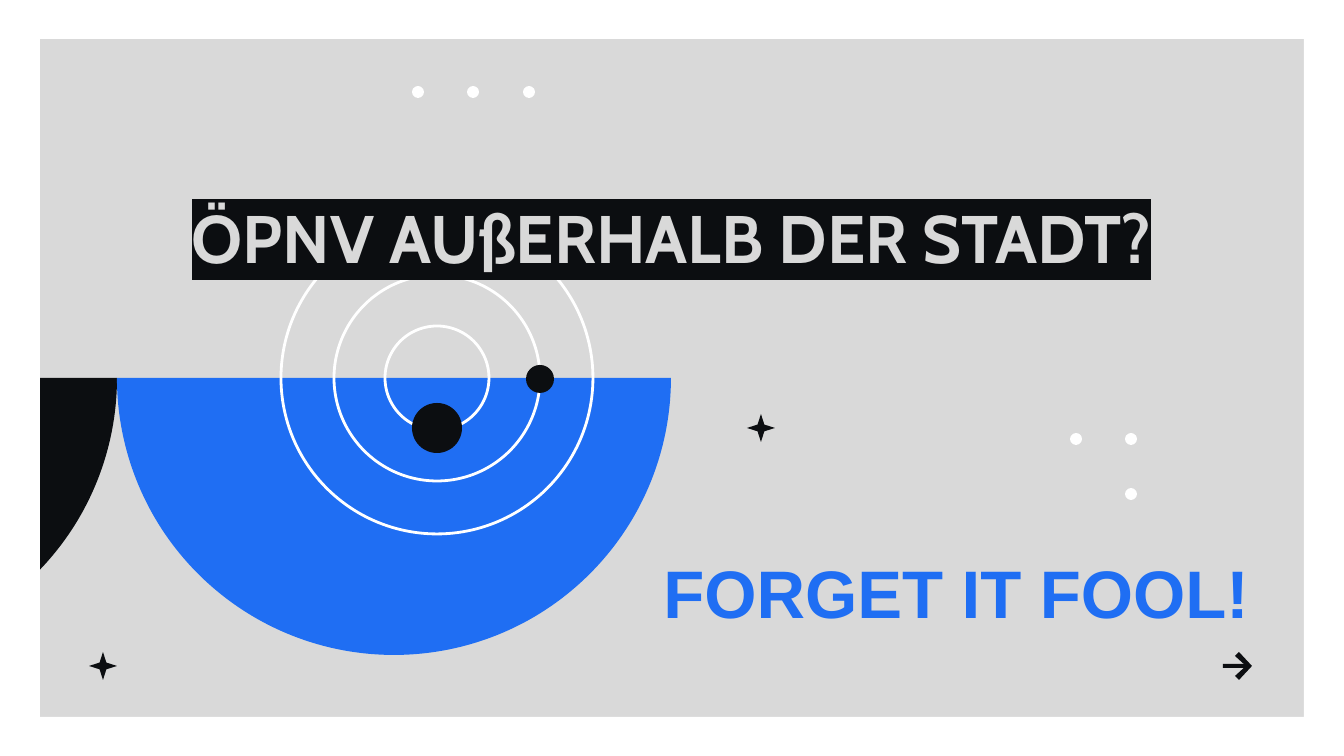
"""Build a title slide about public transport with geometric decoration."""
from dataclasses import dataclass

from lxml.etree import SubElement
from pptx import Presentation
from pptx.dml.color import RGBColor
from pptx.enum.shapes import MSO_SHAPE as Preset
from pptx.enum.text import MSO_ANCHOR as Anchor, MSO_AUTO_SIZE as AutoSize, PP_ALIGN as Align
from pptx.oxml.ns import qn
from pptx.util import Emu, Pt


@dataclass(frozen=True)
class Theme:
    grey: str = "D9D9D9"
    white: str = "FFFFFF"
    ink: str = "0C0E11"
    blue: str = "1F6EF3"
    text_size: int = 36
    ring_width: float = 1.5


THEME = Theme()
SCALE = 914400 / 134.4
WIDTH, HEIGHT = 1344, 756
MARGIN = 40

TITLE = ("ÖPNV AUßERHALB DER STADT?", (23, 183, 1297, 318), "Cabin", THEME.grey, Align.CENTER, Anchor.TOP)
SUBTITLE = ("FORGET IT FOOL!", (650, 478, 648, 167), "Arial", THEME.blue, Align.LEFT, Anchor.BOTTOM)

HALF_DISCS = [(-160, THEME.ink), (394, THEME.blue)]
HALF_DISC_CENTRE_Y, HALF_DISC_RADIUS = 378, 277
RING_CENTRE, RING_RADII = (437, 378), (156, 103, 52)
PLANETS = [((540, 379), 14), ((437, 428), 25)]
DOT_CENTRES = [(418, 92), (473, 92), (529, 92), (1076, 439), (1131, 439), (1131, 494)]
STAR_CENTRES = [(761, 428), (103, 666)]
DOT_RADIUS, STAR_RADIUS = 6, 14
ARROW_SHAFT = (1223, 664, 27, 4)
ARROW_TIP = [(1239, 652), (1235, 656), (1246, 666), (1235, 676), (1239, 680), (1252, 666)]
FRAME = [
    (0, 0, WIDTH, MARGIN - 1),
    (0, HEIGHT - MARGIN + 1, WIDTH, MARGIN - 1),
    (0, 0, MARGIN, HEIGHT),
    (WIDTH - MARGIN, 0, MARGIN, HEIGHT),
]


def px(value):
    return Emu(round(value * SCALE))


def rgb(colour):
    return RGBColor.from_string(colour)


def paint(shape, colour):
    shape.shadow.inherit = False
    shape.fill.solid()
    shape.fill.fore_color.rgb = rgb(colour)
    shape.line.fill.background()


def add_preset(slide, preset, box, colour):
    shape = slide.shapes.add_shape(preset, *map(px, box))
    paint(shape, colour)
    return shape


def add_round(slide, preset, centre, radius, colour):
    x, y = centre
    return add_preset(slide, preset, (x - radius, y - radius, 2 * radius, 2 * radius), colour)


def add_half_disc(slide, x, colour):
    half_disc = add_round(slide, Preset.PIE, (x, HALF_DISC_CENTRE_Y), HALF_DISC_RADIUS, colour)
    half_disc.adjustments[0] = 0
    half_disc.adjustments[1] = 108


def add_ring(slide, radius):
    ring = add_round(slide, Preset.OVAL, RING_CENTRE, radius, THEME.white)
    ring.fill.background()
    ring.line.color.rgb = rgb(THEME.white)
    ring.line.width = Pt(THEME.ring_width)


def add_arrow(slide):
    builder = slide.shapes.build_freeform(*ARROW_TIP[0], scale=SCALE)
    builder.add_line_segments(ARROW_TIP[1:], close=True)
    paint(builder.convert_to_shape(), THEME.ink)
    add_preset(slide, Preset.RECTANGLE, ARROW_SHAFT, THEME.ink)


def write(slide, placeholder, content):
    words, box, family, colour, align, anchor = content
    placeholder.left, placeholder.top, placeholder.width, placeholder.height = map(px, box)
    frame = placeholder.text_frame
    frame.text = words
    frame.word_wrap = True
    frame.auto_size = AutoSize.NONE
    frame.vertical_anchor = anchor
    frame.margin_left = frame.margin_right = frame.margin_top = frame.margin_bottom = Pt(7.2)
    paragraph = frame.paragraphs[0]
    paragraph.alignment = align
    paragraph.line_spacing = 1
    paragraph.space_before = Pt(0)
    font = paragraph.font
    font.name, font.size, font.bold = family, Pt(THEME.text_size), True
    font.color.rgb = rgb(colour)
    slide.shapes.element.append(placeholder.element)
    return paragraph


def highlight(paragraph, colour):
    for run in paragraph.runs:
        mark = SubElement(run.font._element, qn("a:highlight"))
        SubElement(mark, qn("a:srgbClr"), val=colour)


def main():
    deck = Presentation()
    deck.slide_width, deck.slide_height = px(WIDTH), px(HEIGHT)
    slide = deck.slides.add_slide(deck.slide_layouts[0])
    slide.background.fill.solid()
    slide.background.fill.fore_color.rgb = rgb(THEME.grey)

    add_arrow(slide)
    for x, colour in HALF_DISCS:
        add_half_disc(slide, x, colour)
    for centre in DOT_CENTRES:
        add_round(slide, Preset.OVAL, centre, DOT_RADIUS, THEME.white)
    for centre in STAR_CENTRES:
        star = add_round(slide, Preset.STAR_4_POINT, centre, STAR_RADIUS, THEME.ink)
        star.adjustments[0] = 0.17
    for box in FRAME:
        add_preset(slide, Preset.RECTANGLE, box, THEME.white)
    for radius in RING_RADII:
        add_ring(slide, radius)

    write(slide, slide.placeholders[1], SUBTITLE)
    title = write(slide, slide.shapes.title, TITLE)
    highlight(title, THEME.ink)
    for centre, radius in PLANETS:
        add_round(slide, Preset.OVAL, centre, radius, THEME.ink)
    deck.save("out.pptx")


if __name__ == "__main__":
    main()
